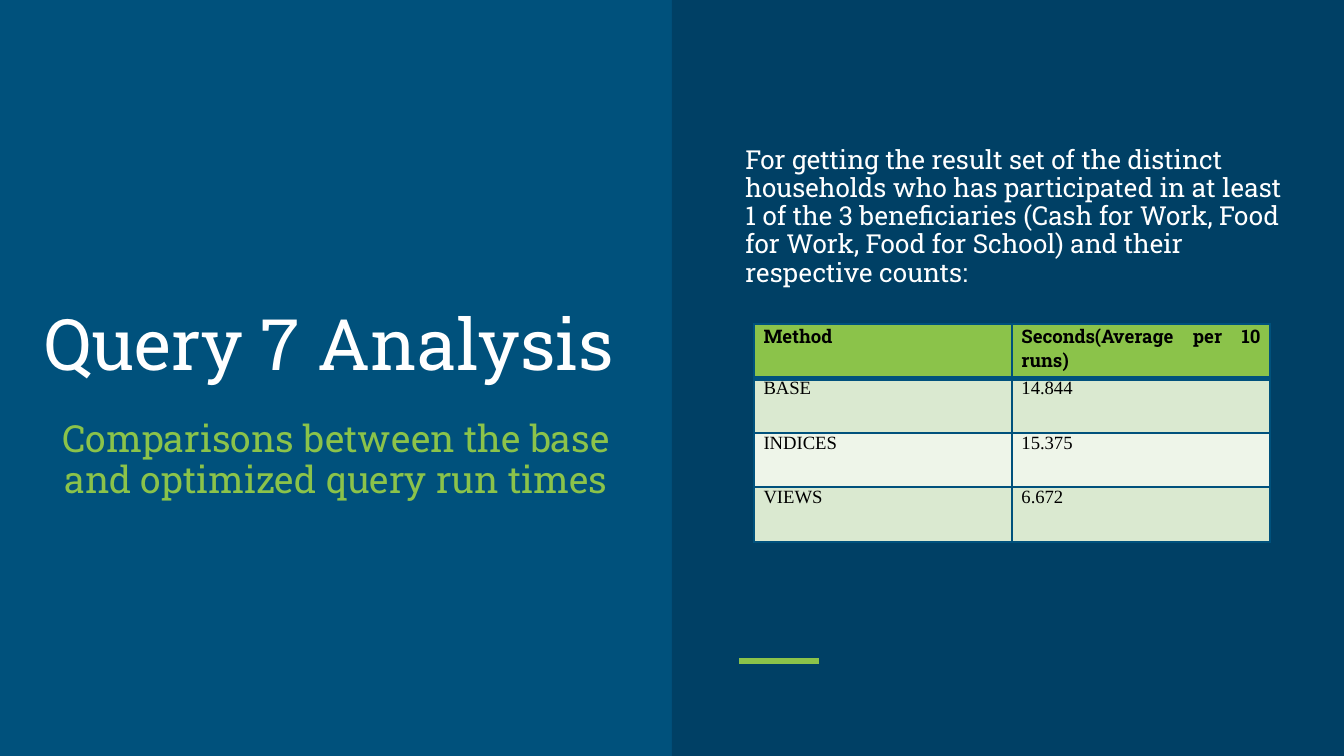
from lxml.etree import SubElement
from pptx import Presentation
from pptx.dml.color import RGBColor
from pptx.enum.shapes import MSO_CONNECTOR, MSO_SHAPE
from pptx.enum.text import MSO_ANCHOR, PP_ALIGN
from pptx.oxml.ns import qn
from pptx.util import Cm, Pt

SLAB, SERIF = "Roboto Slab", "Times New Roman"
BLUE, NAVY, GREEN, WHITE, BLACK = "00517C", "004065", "8BC34A", "FFFFFF", "000000"
BANDS = ["DAE9D0", "EEF5E9"]
RUN_TIMES = [
    ("Method", "Seconds(Average per 10 runs)"),
    ("BASE", "14.844"),
    ("INDICES", "15.375"),
    ("VIEWS", "6.672"),
]


def paint(color_format, color):
    """Give a colour format the colour of a hex string."""
    color_format.rgb = RGBColor.from_string(color)


def fill_solid(target, color):
    """Fill a shape, cell or background with one colour."""
    target.fill.solid()
    paint(target.fill.fore_color, color)


def style_para(para, size, color, font=SLAB, align=PP_ALIGN.LEFT, bold=False):
    """Set the font and alignment of a paragraph."""
    para.font.name, para.font.size, para.font.bold = font, Pt(size), bold
    paint(para.font.color, color)
    para.alignment = align


def add_text(page, box, text, size, color, align=PP_ALIGN.LEFT,
             anchor=MSO_ANCHOR.TOP, inset=0.25):
    """Place a wrapped text in a box; inset is its top and bottom margin."""
    frame = page.shapes.add_textbox(*map(Cm, box)).text_frame
    frame.word_wrap = True
    frame.vertical_anchor = anchor
    frame.margin_left = frame.margin_right = Cm(0.25)
    frame.margin_top = frame.margin_bottom = Cm(inset)
    para = frame.paragraphs[0]
    para.text = text
    para.line_spacing = 0.9
    style_para(para, size, color, align=align)


def set_borders(cell, color, **widths):
    """Draw cell borders; widths maps lnL, lnR, lnT and lnB to points."""
    properties = cell._tc.get_or_add_tcPr()
    for index, (side, width) in enumerate(widths.items()):
        line = SubElement(properties, qn(f"a:{side}"), w=str(Pt(width)))
        properties.insert(index, line)
        solid = SubElement(line, qn("a:solidFill"))
        SubElement(solid, qn("a:srgbClr"), val=color)


def add_run_times(page, box):
    """Build the table of run times in a box."""
    rows, columns = len(RUN_TIMES), len(RUN_TIMES[0])
    left, top, width, height = map(Cm, box)
    table = page.shapes.add_table(rows, columns, left, top, width, height).table
    for row, values in enumerate(RUN_TIMES):
        header = row == 0
        for column, value in enumerate(values):
            cell = table.cell(row, column)
            cell.margin_left = cell.margin_right = Cm(0.18)
            cell.margin_top = cell.margin_bottom = 0
            fill_solid(cell, GREEN if header else BANDS[(row - 1) % 2])
            set_borders(cell, BLUE, lnL=1, lnR=1, lnT=3 if row == 1 else 1,
                        lnB=3 if header else 1)
            para = cell.text_frame.paragraphs[0]
            para.text = value
            style_para(para, 10, BLACK, SLAB if header else SERIF,
                       PP_ALIGN.JUSTIFY if header else PP_ALIGN.LEFT, header)


def add_title_half(page, box):
    """Write the title and subtitle in the left half."""
    left, top, _, _ = box
    add_text(page, (left + 0.46, top + 3.35, 11.53, 4.2), "Query 7 Analysis",
             38, WHITE, PP_ALIGN.CENTER, MSO_ANCHOR.BOTTOM)
    add_text(page, (left + 0.74, top + 7.7, 11.23, 3.73),
             "Comparisons between the base and optimized query run times",
             20, GREEN, PP_ALIGN.CENTER)


def add_result_half(page, box):
    """Fill the right half with panel, accent line, table and description."""
    left, top, _, _ = box
    panel = page.shapes.add_shape(MSO_SHAPE.RECTANGLE, *map(Cm, box))
    panel.shadow.inherit = False
    fill_solid(panel, NAVY)
    panel.line.fill.background()

    level = Cm(top + 12.49)
    accent = page.shapes.add_connector(
        MSO_CONNECTOR.STRAIGHT, Cm(left + 1.27), level, Cm(left + 2.78), level)
    paint(accent.line.color, GREEN)
    accent.line.width = Pt(3)
    SubElement(accent._element.spPr, qn("a:effectLst"))

    add_run_times(page, (left + 1.55, top + 6.12, 9.75, 4.12))
    add_text(page, (left + 1.14, top + 2.64, 10.74, 3.25),
             "For getting the result set of the distinct households who has "
             "participated in at least 1 of the 3 beneficiaries (Cash for Work, "
             "Food for Work, Food for School) and their respective counts:",
             14, WHITE, inset=0.13)


def build_deck():
    """Build the one-slide deck and save it."""
    width, height = 25.4, 14.29
    deck = Presentation()
    deck.slide_width, deck.slide_height = Cm(width), Cm(height)
    page = deck.slides.add_slide(deck.slide_layouts[6])
    fill_solid(page.background, BLUE)
    half = width / 2
    add_title_half(page, (0, 0, half, height))
    add_result_half(page, (half, 0, half, height))
    deck.save("out.pptx")


build_deck()
